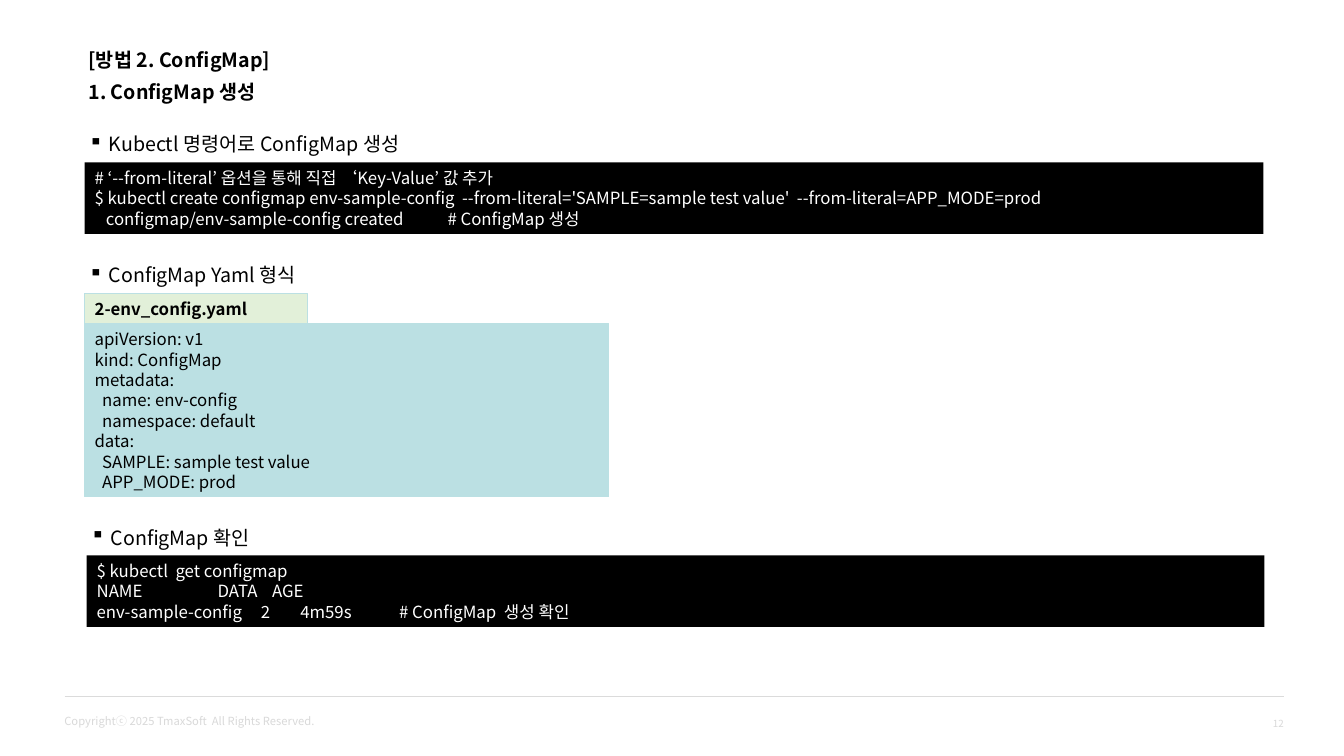
from lxml import etree
from pptx import Presentation
from pptx.dml.color import RGBColor
from pptx.enum.shapes import MSO_CONNECTOR, MSO_SHAPE
from pptx.enum.text import MSO_ANCHOR, PP_ALIGN
from pptx.oxml.ns import qn
from pptx.util import Inches, Pt

RECTANGLE = MSO_SHAPE.RECTANGLE
STRAIGHT = MSO_CONNECTOR.STRAIGHT
LEFT, RIGHT = PP_ALIGN.LEFT, PP_ALIGN.RIGHT
TOP, MIDDLE = MSO_ANCHOR.TOP, MSO_ANCHOR.MIDDLE

FONT = "Noto Sans CJK KR"
COLORS = {
    "text": "000000",
    "terminal": "000000",
    "terminal_text": "FFFFFF",
    "yaml": "BBE0E3",
    "file_tab": "E2F0D9",
    "footer": "D9D9D9",
    "rule": "DBDBDB",
}
LINE_HEIGHT = 1.22

CREATE_LINES = [
    "# ‘--from-literal’ 옵션을 통해 직접 ‘Key-Value’ 값 추가",
    "$ kubectl create configmap env-sample-config  --from-literal='SAMPLE=sample test value'  --from-literal=APP_MODE=prod",
    "   configmap/env-sample-config created\t# ConfigMap 생성",
]
CHECK_LINES = [
    "$ kubectl  get configmap",
    "NAME\tDATA\tAGE",
    "env-sample-config\t2\t4m59s\t# ConfigMap  생성 확인",
]
YAML_LINES = [
    "apiVersion: v1",
    "kind: ConfigMap",
    "metadata:",
    "  name: env-config",
    "  namespace: default",
    "data:",
    "  SAMPLE: sample test value",
    "  APP_MODE: prod",
]


def color(name):
    return RGBColor.from_string(COLORS[name])


def add_tab_stops(paragraph, stops):
    tab_list = etree.SubElement(paragraph._p.get_or_add_pPr(), qn("a:tabLst"))
    for stop in stops:
        tab = etree.SubElement(tab_list, qn("a:tab"))
        tab.set("pos", str(Inches(stop)))
        tab.set("algn", "l")


def add_bullet(paragraph):
    properties = paragraph._p.get_or_add_pPr()
    properties.set("marL", str(Inches(0.2)))
    properties.set("indent", str(-Inches(0.2)))
    etree.SubElement(properties, qn("a:buChar")).set("char", "▪")


def write_lines(shape, lines, size, color_name, bold=False, bullet=False,
                align=LEFT, anchor=TOP, wrap=True, tab_stops=None):
    frame = shape.text_frame
    frame.word_wrap = wrap
    frame.vertical_anchor = anchor
    for index, line in enumerate(lines):
        paragraph = frame.paragraphs[0] if index == 0 else frame.add_paragraph()
        paragraph.alignment = align
        paragraph.line_spacing = Pt(round(size * LINE_HEIGHT, 1))
        if bullet:
            add_bullet(paragraph)
        if tab_stops and index in tab_stops:
            add_tab_stops(paragraph, tab_stops[index])
        run = paragraph.add_run()
        run.text = line
        run.font.name = FONT
        run.font.size = Pt(size)
        run.font.bold = bold
        run.font.color.rgb = color(color_name)


def add_text(slide, box, text, size=14, color_name="text", **style):
    shape = slide.shapes.add_textbox(*map(Inches, box))
    write_lines(shape, [text], size, color_name, **style)


def add_panel(slide, box, lines, fill, color_name="text", outline=None, **style):
    shape = slide.shapes.add_shape(RECTANGLE, *map(Inches, box))
    shape.shadow.inherit = False
    shape.fill.solid()
    shape.fill.fore_color.rgb = color(fill)
    if outline:
        shape.line.color.rgb = color(outline)
        shape.line.width = Pt(0.75)
    else:
        shape.line.fill.background()
    write_lines(shape, lines, 12, color_name, **style)


def add_headings(slide, left, top, width):
    for index, text in enumerate(["[방법 2. ConfigMap]", "1. ConfigMap 생성"]):
        add_text(slide, (left, top + index * 0.32, width, 0.34), text, bold=True)


def add_terminal_section(slide, left, top, width, title, lines, tab_stops=None):
    add_text(slide, (left - 0.06, top, width, 0.34), title, bullet=True)
    add_panel(slide, (left, top + 0.35, width, 0.71), lines, "terminal",
              "terminal_text", tab_stops=tab_stops)


def add_yaml_section(slide, left, top, width):
    add_text(slide, (left - 0.06, top, 10.78, 0.34), "ConfigMap Yaml 형식", bullet=True)
    add_panel(slide, (left, top + 0.65, width, 1.72), YAML_LINES, "yaml", outline="yaml")
    add_panel(slide, (left, top + 0.35, 2.21, 0.3), ["2-env_config.yaml"],
              "file_tab", outline="yaml", bold=True)


def add_footer(slide, left, top, width):
    right = left + width
    rule = slide.shapes.add_connector(
        STRAIGHT, Inches(left), Inches(top), Inches(right), Inches(top))
    rule.line.color.rgb = color("rule")
    rule.line.width = Pt(0.5)
    etree.SubElement(rule._element.spPr, qn("a:effectLst"))
    add_text(slide, (left - 0.1, top + 0.12, 2.7, 0.24),
             "Copyrightⓒ 2025 TmaxSoft  All Rights Reserved.", 8, "footer", wrap=False)
    add_text(slide, (right - 0.95, top - 0.06, 1.05, 0.65), "12", 7, "footer",
             align=RIGHT, anchor=MIDDLE)


def main():
    presentation = Presentation()
    presentation.slide_width = Inches(13.33)
    presentation.slide_height = Inches(7.5)
    slide = presentation.slides.add_slide(presentation.slide_layouts[6])
    add_footer(slide, 0.64, 6.91, 12.09)
    add_headings(slide, 0.78, 0.42, 10.78)
    add_terminal_section(slide, 0.84, 1.26, 11.69,
                         "Kubectl 명령어로 ConfigMap 생성", CREATE_LINES)
    add_yaml_section(slide, 0.84, 2.56, 5.2)
    add_terminal_section(slide, 0.86, 5.16, 11.68, "ConfigMap 확인", CHECK_LINES,
                         {1: [1.2, 1.74], 2: [1.63, 2.02, 3]})
    presentation.save("out.pptx")


if __name__ == "__main__":
    main()
